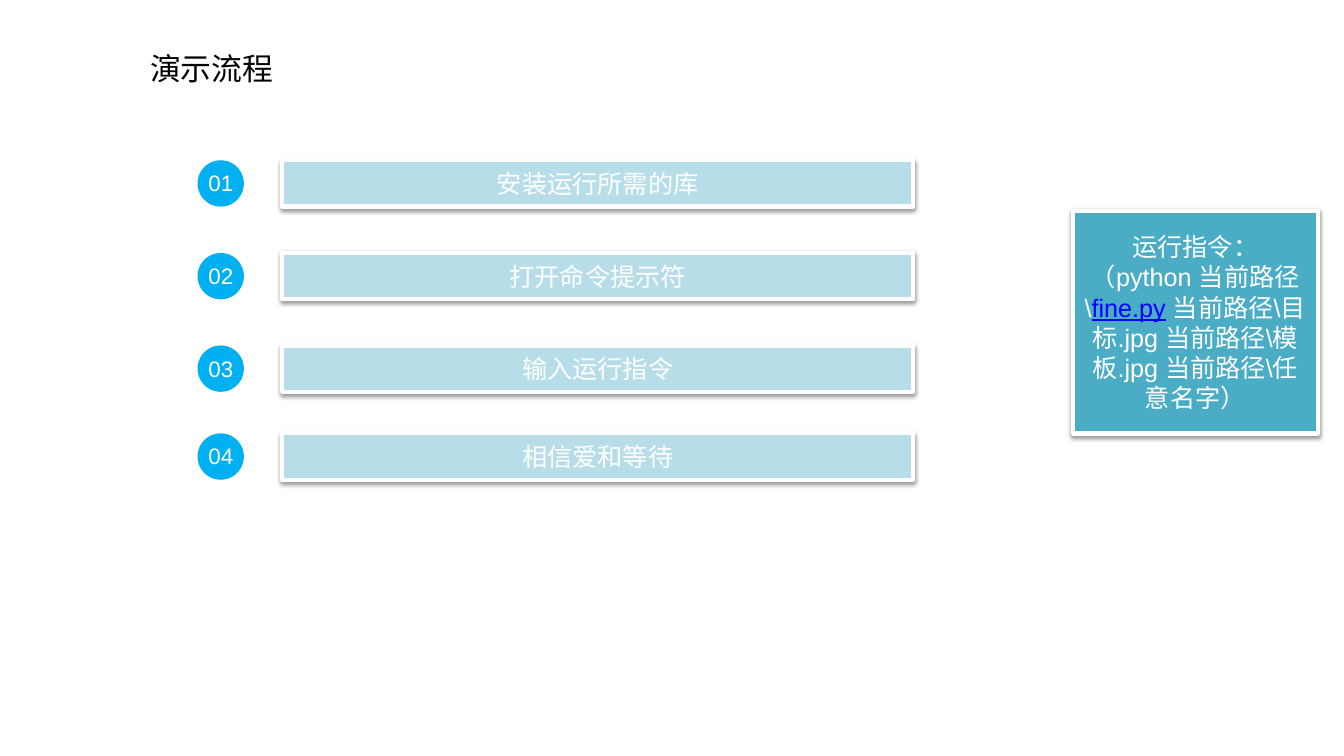
from lxml import etree
from pptx import Presentation
from pptx.dml.color import RGBColor
from pptx.enum.shapes import MSO_SHAPE
from pptx.enum.text import MSO_ANCHOR, PP_ALIGN
from pptx.oxml.ns import qn
from pptx.util import Inches, Pt

RECTANGLE, OVAL = MSO_SHAPE.RECTANGLE, MSO_SHAPE.OVAL
MIDDLE = MSO_ANCHOR.MIDDLE
LEFT, CENTER = PP_ALIGN.LEFT, PP_ALIGN.CENTER

SLIDE_WIDTH, SLIDE_HEIGHT = Inches(13.33), Inches(7.5)
COLUMN, ROW = SLIDE_WIDTH / 100, SLIDE_HEIGHT / 100

COLORS = {
    "title": "000000",
    "light": "FFFFFF",
    "badge": "00B0F0",
    "step": "B7DEE8",
    "command": "4BACC6",
    "file": "0000FF",
    "shadow": "000000",
}
FONT = "Arial"
STEP_HEIGHT = 6.13
STEPS = [
    (21.2, "安装运行所需的库"),
    (33.47, "打开命令提示符"),
    (45.7, "输入运行指令"),
    (57.33, "相信爱和等待"),
]
COMMAND_HEADING = "运行指令："
COMMAND_PARTS = [
    ("（python 当前路径\\", "light"),
    ("fine.py", "file"),
    (" 当前路径\\目标.jpg 当前路径\\模板.jpg 当前路径\\任意名字）", "light"),
]


def color(name):
    """Return the palette colour with this name."""
    return RGBColor.from_string(COLORS[name])


def grid(left, top, width, height):
    """Turn columns and rows of the slide grid into lengths."""
    return (round(left * COLUMN), round(top * ROW),
            round(width * COLUMN), round(height * ROW))


def style_run(run, size, color_name):
    """Set the font, size and colour of a run."""
    run.font.name = FONT
    run.font.size = Pt(size)
    run.font.color.rgb = color(color_name)


def write(paragraph, text, size, color_name, align=CENTER):
    """Fill a paragraph with text in one style."""
    paragraph.text = text
    paragraph.alignment = align
    style_run(paragraph.runs[0], size, color_name)


def add_label(slide, area, text, size, color_name, align):
    """Add a plain text box."""
    frame = slide.shapes.add_textbox(*grid(*area)).text_frame
    frame.word_wrap = True
    write(frame.paragraphs[0], text, size, color_name, align)


def add_badge(slide, top, number):
    """Add a round badge with a two-digit step number."""
    disc = slide.shapes.add_shape(OVAL, *grid(14.7, top, 3.45, STEP_HEIGHT))
    disc.shadow.inherit = False
    disc.fill.solid()
    disc.fill.fore_color.rgb = color("badge")
    disc.line.fill.background()
    add_label(slide, (14.25, top + 0.55, 4.35, 4.93),
              f"{number:02d}", 16, "light", CENTER)


def add_drop_shadow(panel):
    """Give a panel a soft shadow straight below it."""
    panel.shadow.inherit = False
    effects = panel.element.spPr.find(qn("a:effectLst"))
    shadow = etree.SubElement(
        effects, qn("a:outerShdw"), blurRad=str(Pt(3.1)), dist=str(Pt(1.6)),
        dir="5400000", rotWithShape="0")
    tint = etree.SubElement(shadow, qn("a:srgbClr"), val=COLORS["shadow"])
    etree.SubElement(tint, qn("a:alpha"), val="38000")


def add_panel(slide, area, fill, text):
    """Add a white-framed panel with a shadow and return its text frame."""
    panel = slide.shapes.add_shape(RECTANGLE, *grid(*area))
    panel.fill.solid()
    panel.fill.fore_color.rgb = color(fill)
    panel.line.color.rgb = color("light")
    panel.line.width = Pt(3)
    add_drop_shadow(panel)
    frame = panel.text_frame
    frame.word_wrap = True
    frame.vertical_anchor = MIDDLE
    write(frame.paragraphs[0], text, 18, "light")
    return frame


def add_command(slide):
    """Add the panel that shows the command to run."""
    frame = add_panel(slide, (79.82, 27.87, 18.23, 29.47),
                      "command", COMMAND_HEADING)
    command = frame.add_paragraph()
    command.alignment = CENTER
    for text, color_name in COMMAND_PARTS:
        run = command.add_run()
        run.text = text
        style_run(run, 18, color_name)
        run.font.underline = color_name == "file"


def main():
    """Build the slide and save it."""
    presentation = Presentation()
    presentation.slide_width = SLIDE_WIDTH
    presentation.slide_height = SLIDE_HEIGHT
    slide = presentation.slides.add_slide(presentation.slide_layouts[6])

    add_label(slide, (10.43, 5.87, 29.03, 6.53), "演示流程", 22, "title", LEFT)
    for number, (top, step) in enumerate(STEPS, start=1):
        add_badge(slide, top, number)
        add_panel(slide, (21, top, 46.96, STEP_HEIGHT), "step", step)
    add_command(slide)

    presentation.save("out.pptx")


if __name__ == "__main__":
    main()
